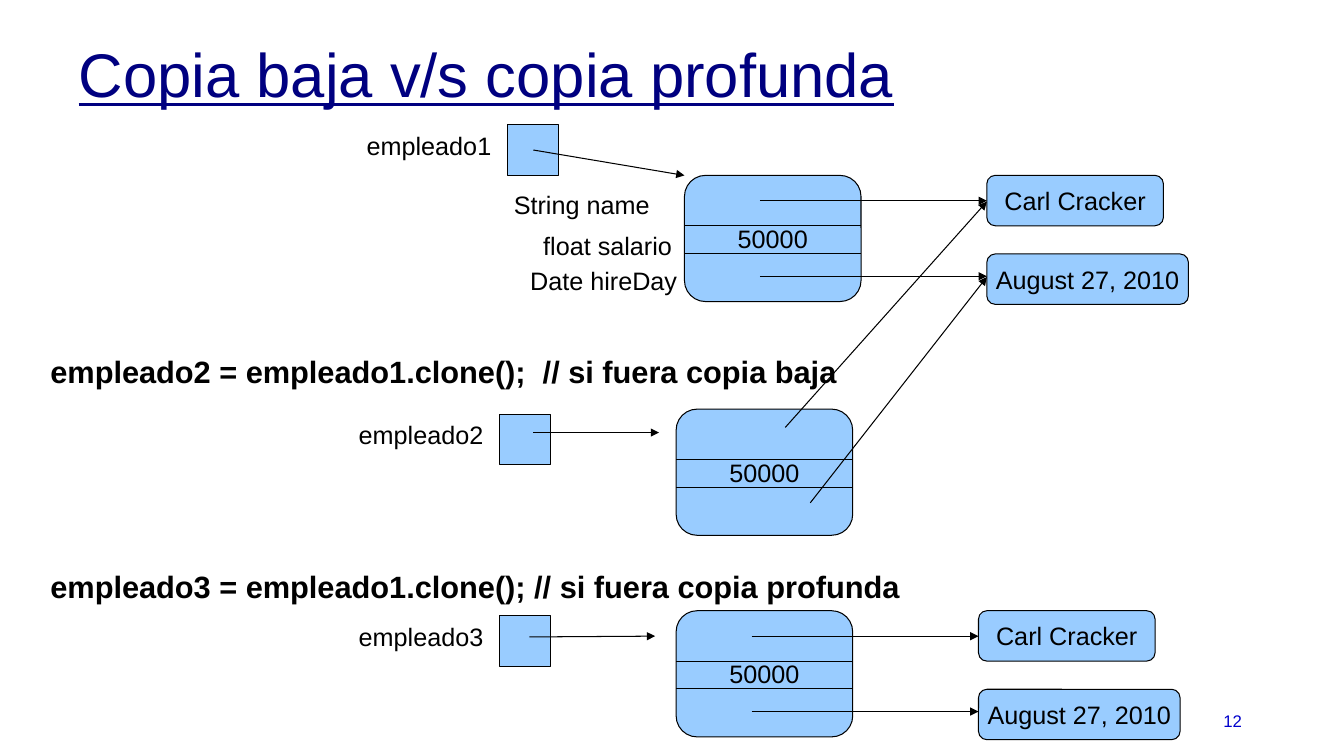
import pptx
import pptx.util
import pptx.dml.color
import pptx.enum.shapes
import pptx.enum.text
import pptx.oxml

Cm = pptx.util.Cm
Pt = pptx.util.Pt
Color = pptx.dml.color.RGBColor
Shape = pptx.enum.shapes.MSO_SHAPE
Align = pptx.enum.text.PP_ALIGN
Anchor = pptx.enum.text.MSO_ANCHOR

BLACK = Color(0x00, 0x00, 0x00)
NAVY = Color(0x00, 0x00, 0x80)
BLUE = Color(0x00, 0x00, 0xCC)
SKY = Color(0x99, 0xCC, 0xFF)

UNIT = 1.27
REC_W, REC_H = 4.45, 3.18
VAL_X = 7.62
ROWS = (0.64, 2.54)


def style(par, text, size=18, color=BLACK, bold=False, align=Align.LEFT):
    par.text = text
    par.alignment = align
    font = par.font
    font.name = "Arial"
    font.size = Pt(size)
    font.bold = bold
    font.color.rgb = color


def add_text(slide, text, left, top, width, height=1.17, wrap=True,
             anchor=Anchor.TOP, **look):
    box = slide.shapes.add_textbox(Cm(left), Cm(top), Cm(width), Cm(height))
    frame = box.text_frame
    frame.word_wrap = wrap
    frame.vertical_anchor = anchor
    style(frame.paragraphs[0], text, **look)


def add_box(slide, kind, left, top, width, height, text=None):
    box = slide.shapes.add_shape(kind, Cm(left), Cm(top), Cm(width), Cm(height))
    box.shadow.inherit = False
    box.fill.solid()
    box.fill.fore_color.rgb = SKY
    box.line.color.rgb = BLACK
    box.line.width = Pt(0.75)
    if text:
        frame = box.text_frame
        frame.word_wrap = False
        frame.vertical_anchor = Anchor.MIDDLE
        style(frame.paragraphs[0], text, align=Align.CENTER)


def add_line(slide, start, end, arrow=False):
    kind = pptx.enum.shapes.MSO_CONNECTOR.STRAIGHT
    line = slide.shapes.add_connector(
        kind, Cm(start[0]), Cm(start[1]), Cm(end[0]), Cm(end[1]))
    line.line.color.rgb = BLACK
    line.line.width = Pt(0.75)
    space = pptx.oxml.ns.nsdecls("a")
    if arrow:
        head = pptx.oxml.parse_xml(f'<a:tailEnd {space} type="triangle"/>')
        line.line._get_or_add_ln().append(head)
    line._element.spPr.append(pptx.oxml.parse_xml(f"<a:effectLst {space}/>"))


def add_ref(slide, name, left, top, start, end):
    add_text(slide, name, left - 3 * UNIT, top, REC_W)
    add_box(slide, Shape.RECTANGLE, left, top, UNIT, UNIT)
    add_line(slide, start, end, arrow=True)


def add_record(slide, left, top):
    add_box(slide, Shape.ROUNDED_RECTANGLE, left, top, REC_W, REC_H, "50000")
    for drop in (UNIT, 1.97):
        add_line(slide, (left, top + drop), (left + REC_W, top + drop))


def add_values(slide, left, top):
    values = (("Carl Cracker", 0, REC_W), ("August 27, 2010", 1.98, 5.08))
    for (text, drop, width), row in zip(values, ROWS):
        add_box(slide, Shape.ROUNDED_RECTANGLE, left + VAL_X, top + drop,
                width, UNIT, text)
        add_line(slide, (left + 1.9, top + row), (left + VAL_X, top + row),
                 arrow=True)


def add_title(slide, text):
    title = slide.shapes.title
    title.left, title.top = Cm(1.73), Cm(1.02)
    title.width, title.height = Cm(30.68), Cm(1.88)
    frame = title.text_frame
    frame.vertical_anchor = Anchor.MIDDLE
    frame.auto_size = pptx.enum.text.MSO_AUTO_SIZE.NONE
    par = frame.paragraphs[0]
    style(par, text, size=44, color=NAVY)
    par.line_spacing = 0.9
    par.font.underline = True


def main():
    deck = pptx.Presentation()
    deck.slide_width, deck.slide_height = Cm(33.87), Cm(19.05)
    slide = deck.slides.add_slide(deck.slide_layouts[5])
    add_title(slide, "Copia baja v/s copia profunda")
    add_text(slide, "12", 23.93, 17.65, 7.62, 1.02, anchor=Anchor.MIDDLE,
             size=12, color=BLUE, align=Align.RIGHT)

    records = ((17.25, 4.42), (17.04, 10.31), (17.04, 15.39))
    for left, top in records:
        add_record(slide, left, top)
    for left, top in (records[0], records[2]):
        add_values(slide, left, top)

    refs = (
        ("empleado1", 12.8, 3.15, (13.44, 3.78), (17.25, 4.42)),
        ("empleado2", 12.6, 10.44, (13.44, 10.9), (16.61, 10.9)),
        ("empleado3", 12.6, 15.52, (13.34, 16.05), (16.51, 16.03)),
    )
    for ref in refs:
        add_ref(slide, *ref)

    fields = (("String name", 12.7, 4.65), ("float salario", 13.44, 5.69),
              ("Date hireDay", 13.11, 6.55))
    for text, left, top in fields:
        add_text(slide, text, left, top, REC_W, wrap=False)

    shared = (((19.79, 10.77), (24.87, 5.08)), ((20.42, 12.67), (24.87, 6.98)))
    for start, end in shared:
        add_line(slide, start, end, arrow=True)

    calls = (
        ("empleado2 = empleado1.clone();  // si fuera copia baja", 8.76),
        ("empleado3 = empleado1.clone(); // si fuera copia profunda", 14.17),
    )
    for text, top in calls:
        add_text(slide, text, 1.02, top, 25.7, 1.5, size=22, bold=True)

    deck.save("out.pptx")


if __name__ == "__main__":
    main()
